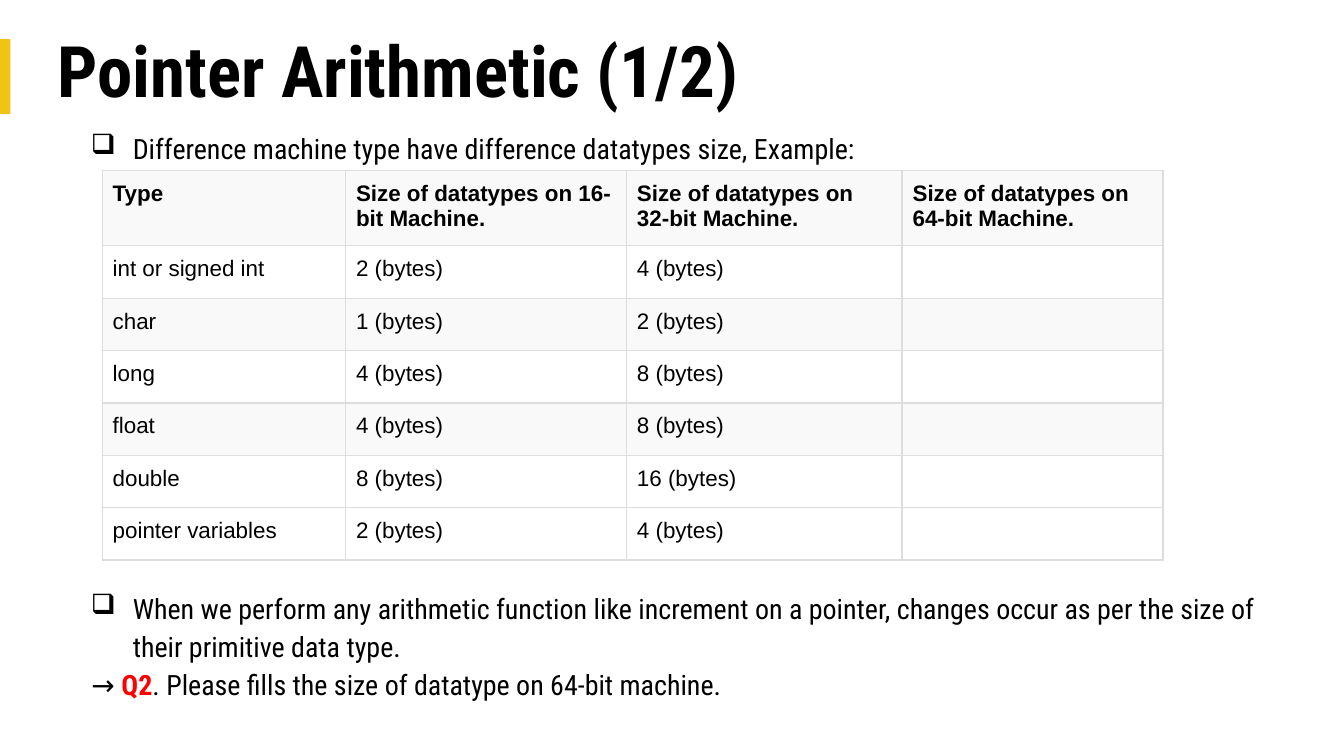
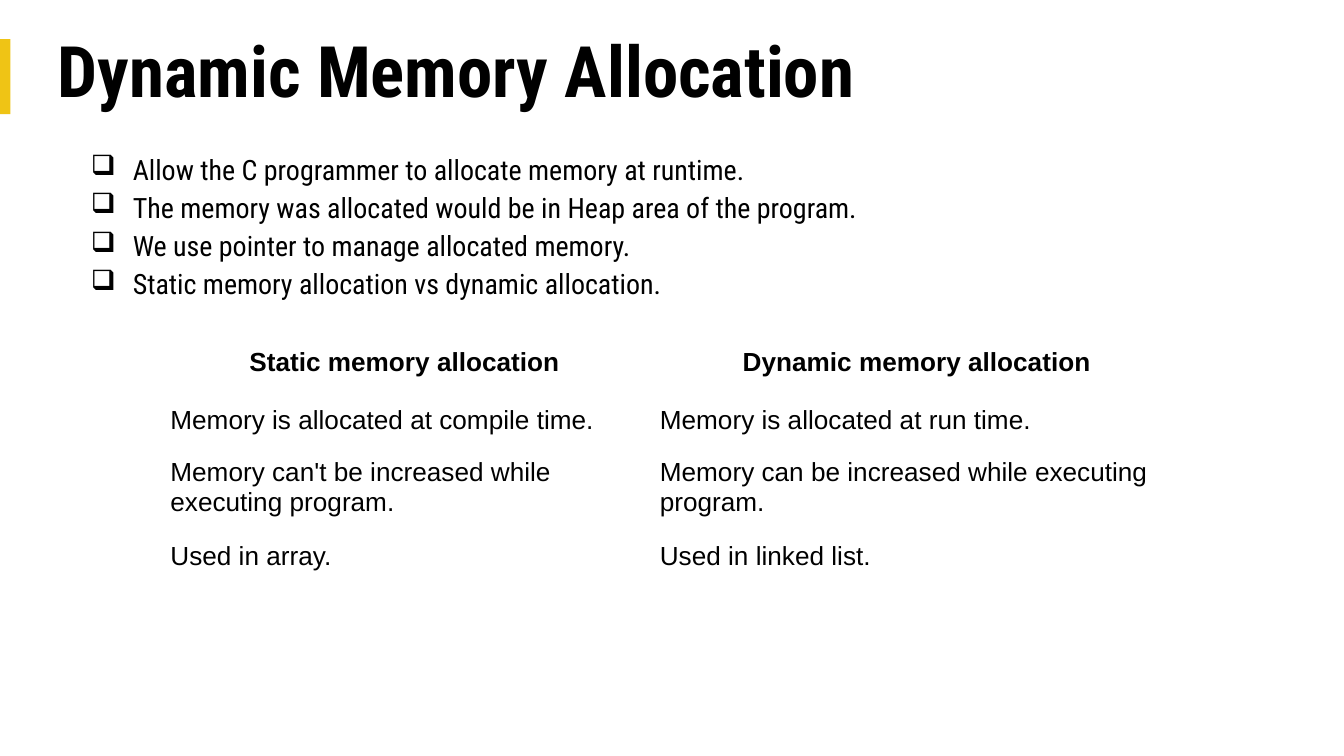
"""Builds two slides on pointer arithmetic and dynamic memory allocation."""
from lxml import etree
from pptx import Presentation
from pptx import util as u
from pptx.dml import color
from pptx.enum import shapes, text
from pptx.oxml import ns

BLACK, RED, YELLOW, STRIPE, RULE = "000000", "FF0000", "EFC415", "F9F9F9", "DDDDDD"
HEAD_FONT, TABLE_FONT = "Roboto Condensed", "Arial"
TITLE = dict(name=HEAD_FONT, size=u.Pt(38), bold=True)
BODY = dict(name=HEAD_FONT, size=u.Pt(15), bold=False)
LEFT, WIDTH = 0.91, 23.57
BAR_BOX = (0, 0.74, 0.2, 1.42)
TITLE_BOX = (LEFT, 0.53, WIDTH, 1.75)
BODY_HEIGHT = 10.82


def rgb(value):
    """Return the colour of a hex string."""
    return color.RGBColor.from_string(value)


def apply(obj, formats):
    """Set each attribute of a dict of formats."""
    for name, value in formats.items():
        setattr(obj, name, value)


def place(box):
    """Return a box in centimetres as lengths."""
    return [u.Cm(v) for v in box]


def margins(x, y):
    """Return the margin formats of a frame or cell."""
    return dict(margin_left=u.Cm(x), margin_right=u.Cm(x),
                margin_top=u.Cm(y), margin_bottom=u.Cm(y))


def add_run(p, words, formats, fill=BLACK):
    """Add a formatted run to a paragraph."""
    r = p.add_run()
    r.text = words
    apply(r.font, formats)
    r.font.color.rgb = rgb(fill)


def add_child(parent, tag, **attributes):
    """Append a drawing element to a parent."""
    return etree.SubElement(parent, ns.qn(tag), attributes)


def add_color(parent, value):
    """Append a solid colour to a line or bullet element."""
    add_child(parent, "a:srgbClr", val=value)


def add_bar(s, box):
    """Draw the accent bar and move it to the layout shared by the slides."""
    sp = s.shapes.add_shape(shapes.MSO_SHAPE.RECTANGLE, *place(box))
    sp.shadow.inherit = False
    sp.fill.solid()
    sp.fill.fore_color.rgb = rgb(YELLOW)
    sp.line.fill.background()
    s.slide_layout.shapes._spTree.append(sp._element)


def add_slide(prs, title):
    """Add a title-only slide with its title in place."""
    s = prs.slides.add_slide(prs.slide_layouts[5])
    sp = s.shapes.title
    apply(sp, dict(zip(("left", "top", "width", "height"), place(TITLE_BOX))))
    tf = sp.text_frame
    apply(tf, dict(margins(0.18, 0.1), word_wrap=True,
                   auto_size=text.MSO_AUTO_SIZE.NONE,
                   vertical_anchor=text.MSO_ANCHOR.MIDDLE))
    p = tf.paragraphs[0]
    apply(p, dict(alignment=text.PP_ALIGN.LEFT, line_spacing=0.9))
    add_run(p, title, TITLE)
    return s


def add_points(s, box, points):
    """Write points of (bulleted, points of space before, runs)."""
    tf = s.shapes.add_textbox(*place(box)).text_frame
    apply(tf, dict(margins(0.18, 0.1), word_wrap=True))
    for i, (bulleted, space, runs) in enumerate(points):
        p = tf.add_paragraph() if i else tf.paragraphs[0]
        apply(p, dict(line_spacing=1.14, space_before=u.Pt(space)))
        pPr = p._p.get_or_add_pPr()
        pPr.set("marL", str(u.Cm(1.42 if bulleted else 0.64)))
        pPr.set("indent", str(u.Cm(-0.79 if bulleted else 0)))
        if bulleted:
            add_color(add_child(pPr, "a:buClr"), BLACK)
            add_child(pPr, "a:buChar", char="❑")
        for words, bold, fill in runs:
            add_run(p, words, dict(BODY, bold=bold), fill)


def add_borders(cell):
    """Rule all four sides of a cell."""
    tcPr = cell._tc.get_or_add_tcPr()
    for side in ("a:lnL", "a:lnR", "a:lnT", "a:lnB"):
        ln = add_child(tcPr, side, w=str(u.Pt(0.75)))
        add_color(add_child(ln, "a:solidFill"), RULE)


def add_grid(s, origin, widths, heights, rows, size, head, ruled):
    """Draw a table with a bold first row, ruled and striped on request."""
    box = (*origin, sum(widths), sum(heights))
    table = s.shapes.add_table(len(rows), len(widths), *place(box)).table
    apply(table, dict(first_row=False, horz_banding=False))
    for column, width in zip(table.columns, widths):
        column.width = u.Cm(width)
    for i, (row, height, values) in enumerate(zip(table.rows, heights, rows)):
        row.height = u.Cm(height)
        for cell, words in zip(row.cells, values):
            apply(cell, margins(0.2, 0.2) if i else head["margins"])
            p = cell.text_frame.paragraphs[0]
            p.alignment = text.PP_ALIGN.LEFT if i else head["alignment"]
            if words:
                add_run(p, words, dict(name=TABLE_FONT, size=u.Pt(size), bold=i == 0))
            else:
                p._p.get_or_add_endParaRPr().set("sz", str(size * 100))
            if ruled:
                add_borders(cell)
            if ruled and i in (0, 2, 4):
                cell.fill.solid()
                cell.fill.fore_color.rgb = rgb(STRIPE)
            else:
                cell.fill.background()


def point(words, space=0):
    """Return a plain bulleted point."""
    return True, space, [(words, False, BLACK)]


def pointer_slide(prs):
    """Add the slide on the sizes of data types."""
    s = add_slide(prs, "Pointer Arithmetic (1/2)")
    add_points(s, (LEFT, 2.29, WIDTH, BODY_HEIGHT), [
        point("Difference machine type have difference datatypes size, Example:"),
        point("When we perform any arithmetic function like increment on a pointer, "
              "changes occur as per the size of their primitive data type.", 226),
        (False, 0, [("→ ", False, BLACK), ("Q2", True, RED),
                    (". Please fills the size of datatype on 64-bit machine.", False, BLACK)]),
    ])
    sizes = [("int or signed int", 2, 4), ("char", 1, 2), ("long", 4, 8),
             ("float", 4, 8), ("double", 8, 16), ("pointer variables", 2, 4)]
    rows = [["Type"] + [f"Size of datatypes on {n}-bit Machine." for n in (16, 32, 64)]]
    rows += [[kind, f"{a} (bytes)", f"{b} (bytes)", ""] for kind, a, b in sizes]
    add_grid(s, (1.93, 3.23), (4.6, 5.31, 5.21, 4.93), [1.37] + [0.99] * 6, rows, 12,
             dict(margins=margins(0.2, 0.2), alignment=text.PP_ALIGN.LEFT), True)
    return s


def memory_slide(prs):
    """Add the slide comparing static and dynamic allocation."""
    s = add_slide(prs, "Dynamic Memory Allocation")
    add_points(s, (LEFT, 2.69, WIDTH, BODY_HEIGHT), [point(words) for words in (
        "Allow the C programmer to allocate memory at runtime.",
        "The memory was allocated would be in Heap area of the program.",
        "We use pointer to manage allocated memory.",
        "Static memory allocation vs dynamic allocation.")])
    rows = [
        ("Static memory allocation", "Dynamic memory allocation"),
        ("Memory is allocated at compile time.", "Memory is allocated at run time."),
        ("Memory can't be increased while executing program.",
         "Memory can be increased while executing program."),
        ("Used in array.", "Used in linked list."),
    ]
    add_grid(s, (3.02, 6.27), (9.25, 10.11), (1.17, 0.97, 1.52, 0.97), rows, 14,
             dict(margins=margins(0.3, 0.3), alignment=text.PP_ALIGN.CENTER), False)


def main():
    """Build and save the presentation."""
    prs = Presentation()
    apply(prs, dict(slide_width=u.Cm(25.4), slide_height=u.Cm(14.29)))
    add_bar(pointer_slide(prs), BAR_BOX)
    memory_slide(prs)
    prs.save("out.pptx")


main()
